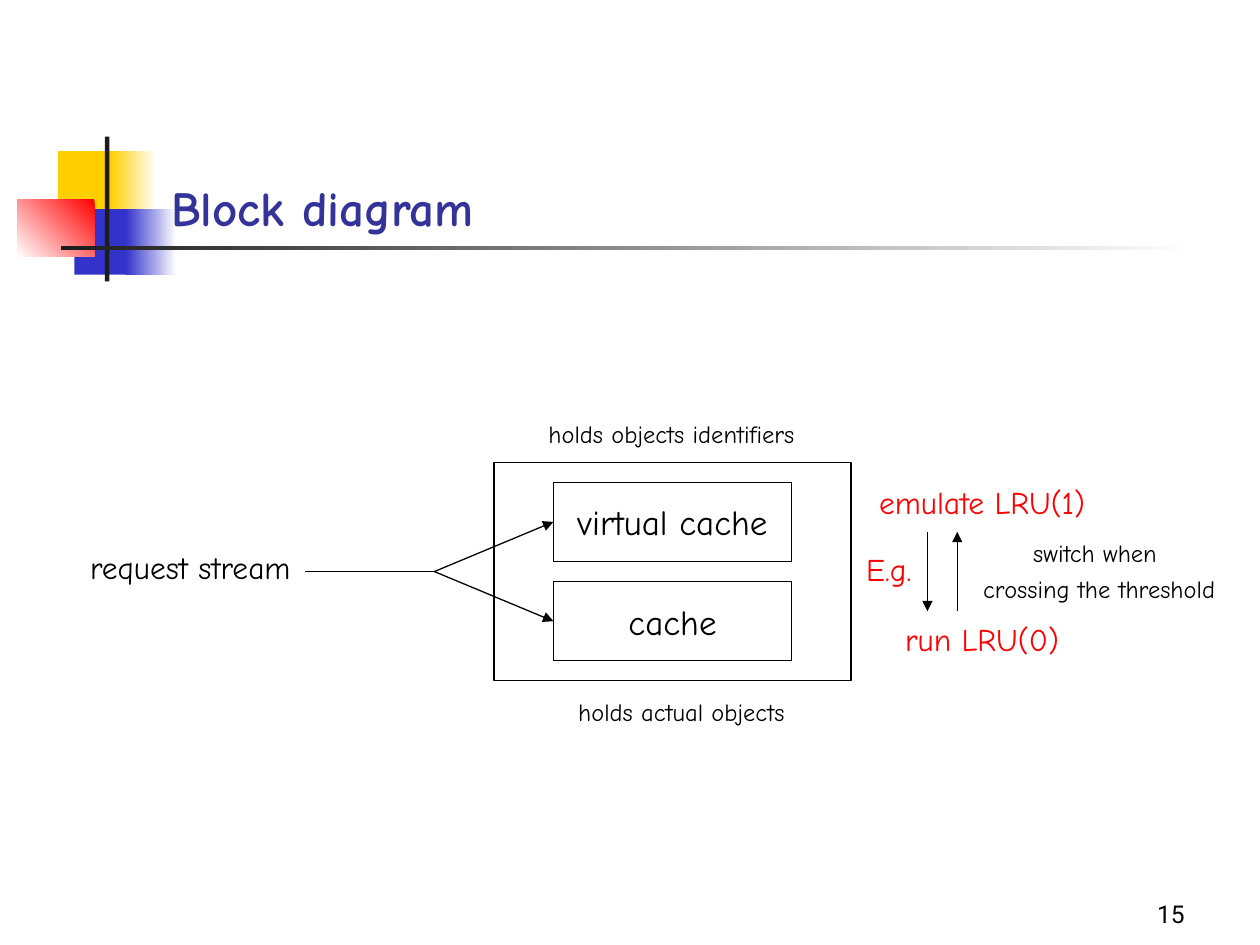
from lxml.etree import SubElement
from pptx import Presentation
from pptx.dml.color import RGBColor
from pptx.enum.shapes import MSO_CONNECTOR, MSO_SHAPE
from pptx.enum.text import MSO_ANCHOR, PP_ALIGN
from pptx.oxml.ns import qn
from pptx.util import Inches, Pt

WIDTH, HEIGHT = 10, 7.5
GRID_LEFT, GRID_TOP, CELL = 3.92, 3.67, 0.1575
LINE_WIDTH = Pt(0.74)
FONT = "Comic Neue"

BLACK = RGBColor(0x00, 0x00, 0x00)
WHITE = RGBColor(0xFF, 0xFF, 0xFF)
RED = RGBColor(0xFF, 0x00, 0x00)
YELLOW = RGBColor(0xFF, 0xCF, 0x01)
BLUE = RGBColor(0x33, 0x33, 0xCC)
CHARCOAL = RGBColor(0x1C, 0x1C, 0x1C)
TITLE_BLUE = RGBColor(0x33, 0x33, 0x99)


def share(left, top, width, height):
    """Turn percentages of the slide into a box."""
    return (Inches(left * WIDTH / 100), Inches(top * HEIGHT / 100),
            Inches(width * WIDTH / 100), Inches(height * HEIGHT / 100))


def point(column, row):
    """Turn a diagram grid position into slide coordinates."""
    return Inches(GRID_LEFT + column * CELL), Inches(GRID_TOP + row * CELL)


def cells(column, row, columns, rows):
    """Turn a span of diagram grid cells into a box."""
    return (*point(column, row), Inches(columns * CELL), Inches(rows * CELL))


def write(shape, *lines, size=18, color=BLACK, font=FONT, bold=False,
          align=PP_ALIGN.CENTER, anchor=MSO_ANCHOR.TOP, wrap=False,
          before=None, gap=None):
    """Fill a shape with one paragraph per line; gap precedes later lines."""
    frame = shape.text_frame
    frame.word_wrap = wrap
    frame.vertical_anchor = anchor
    before = size / 4 if before is None else before
    for index, line in enumerate(lines):
        paragraph = frame.add_paragraph() if index else frame.paragraphs[0]
        paragraph.alignment = align
        paragraph.space_before = Pt(gap if index and gap else before)
        run = paragraph.add_run()
        run.text = line
        run.font.name = font
        run.font.size = Pt(size)
        run.font.bold = bold
        run.font.color.rgb = color


def add_text(slide, box, *lines, **text_format):
    """Add a text box."""
    write(slide.shapes.add_textbox(*box), *lines, **text_format)


def add_bar(slide, box, color, fade=None):
    """Add a borderless rectangle, fading to white at the given angle."""
    shape = slide.shapes.add_shape(MSO_SHAPE.RECTANGLE, *box)
    shape.shadow.inherit = False
    shape.line.fill.background()
    if fade is None:
        shape.fill.solid()
        shape.fill.fore_color.rgb = color
        return
    shape.fill.gradient()
    shape.fill.gradient_angle = fade
    for stop, stop_color in zip(shape.fill.gradient_stops, (color, WHITE)):
        stop.color.rgb = stop_color


def add_frame(slide, box, label=None):
    """Add an unfilled outlined rectangle with an optional label."""
    shape = slide.shapes.add_shape(MSO_SHAPE.RECTANGLE, *box)
    shape.shadow.inherit = False
    shape.fill.background()
    shape.line.color.rgb = BLACK
    shape.line.width = LINE_WIDTH
    if label:
        write(shape, label, size=20, anchor=MSO_ANCHOR.MIDDLE)


def add_line(slide, start, end, arrow=True):
    """Connect two grid positions, with an arrowhead at the end."""
    line = slide.shapes.add_connector(
        MSO_CONNECTOR.STRAIGHT, *point(*start), *point(*end))
    line.line.color.rgb = BLACK
    line.line.width = LINE_WIDTH
    if arrow:
        SubElement(line.line._get_or_add_ln(), qn("a:tailEnd"), type="triangle")
    SubElement(line._element.spPr, qn("a:effectLst"))


def add_header(slide):
    """Add the coloured blocks, the crossing rules and the title."""
    add_bar(slide, share(4.6, 16, 4.8, 6.93), YELLOW)
    add_bar(slide, share(8.8, 16, 3.6, 6.93), YELLOW, fade=0)
    add_bar(slide, share(5.9, 22.13, 4.6, 6.93), BLUE)
    add_bar(slide, share(10, 22.13, 4, 6.93), BLUE, fade=0)
    add_bar(slide, share(1.4, 21.07, 6.1, 6.13), RED, fade=225)
    add_bar(slide, share(8.33, 14.45, 0.35, 15.33), CHARCOAL)
    add_bar(slide, share(4.83, 26, 90, 0.47), CHARCOAL, fade=0)
    add_text(slide, share(12.6, 9, 85.2, 16.67), "Block diagram", size=28,
             color=TITLE_BLUE, bold=True, align=PP_ALIGN.LEFT,
             anchor=MSO_ANCHOR.BOTTOM, wrap=True, before=0)


def add_caches(slide):
    """Add the request stream that feeds the two caches."""
    add_frame(slide, cells(0, 0, 18, 11))
    fork = (-3, 5.5)
    add_line(slide, (-9.5, 5.5), fork, arrow=False)
    for row, label in ((1, "virtual cache"), (6, "cache")):
        add_frame(slide, cells(3, row, 12, 4), label)
        add_line(slide, fork, (3, row + 2))
    add_text(slide, cells(-21, 4, 11.4, 2.5), "request stream")
    add_text(slide, cells(1, -2.5, 15.9, 2.2),
             "holds objects identifiers", size=14)
    add_text(slide, cells(3, 11.5, 12.9, 2.2),
             "holds actual objects", size=14)


def add_switching(slide):
    """Add the example of switching between the two policies."""
    add_text(slide, cells(18.1, 4.1, 3.6, 2.5), "E.g.", color=RED)
    add_text(slide, cells(18.75, 0.75, 11.7, 9.5), "emulate LRU(1)",
             "run LRU(0)", color=RED, gap=56.7)
    add_line(slide, (21.85, 3.5), (21.85, 7.5))
    add_line(slide, (23.35, 7.5), (23.35, 3.5))
    add_text(slide, cells(23.5, 3.5, 14, 4), "switch when ",
             "crossing the threshold", size=14)


def main():
    """Build and save the slide."""
    presentation = Presentation()
    presentation.slide_width = Inches(WIDTH)
    presentation.slide_height = Inches(HEIGHT)
    slide = presentation.slides.add_slide(presentation.slide_layouts[6])
    add_header(slide)
    add_caches(slide)
    add_switching(slide)
    add_text(slide, share(74.2, 92.27, 20.8, 6.67), "15", size=14,
             font="Roboto", align=PP_ALIGN.RIGHT, anchor=MSO_ANCHOR.BOTTOM,
             wrap=True, before=0)
    presentation.save("out.pptx")


main()
